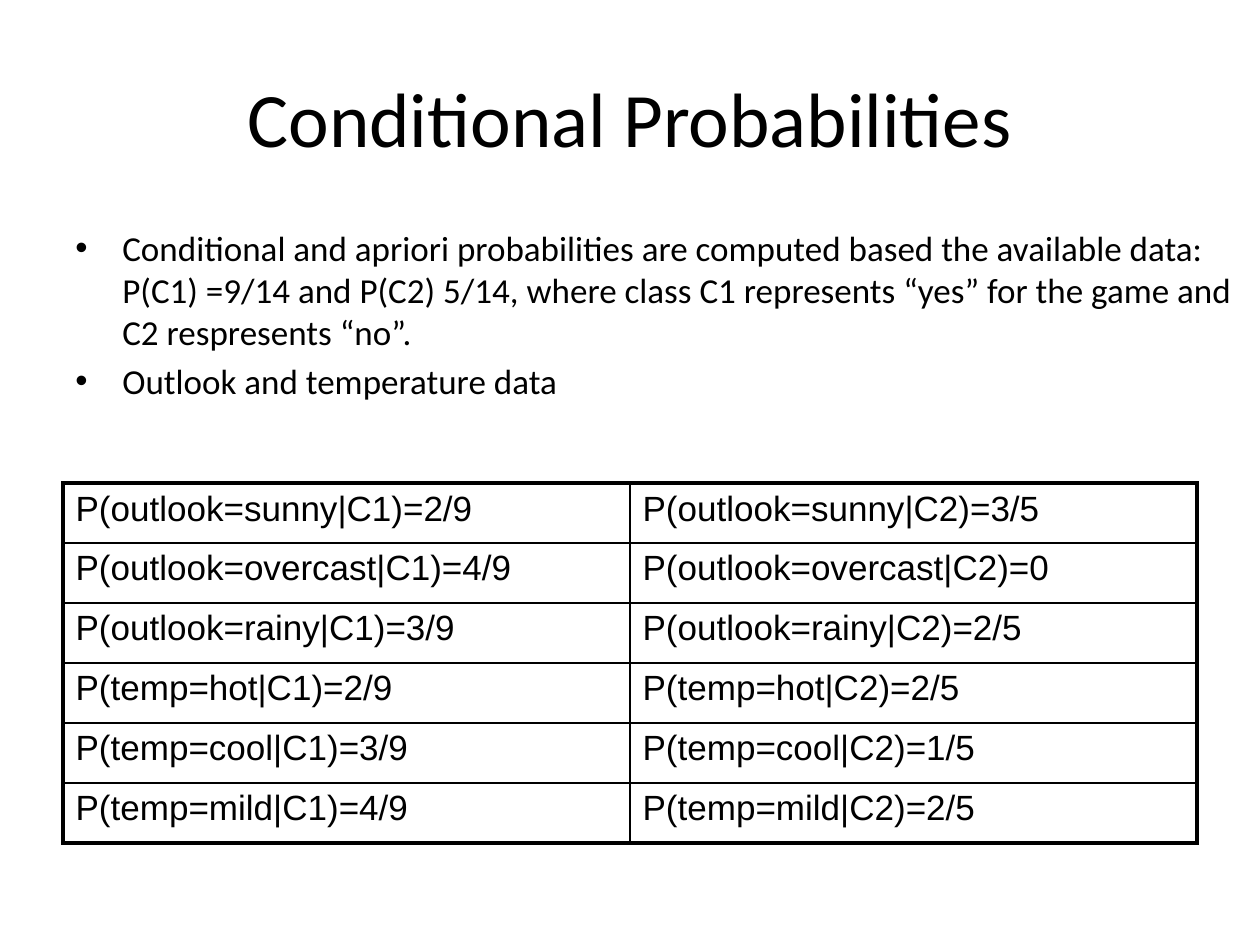
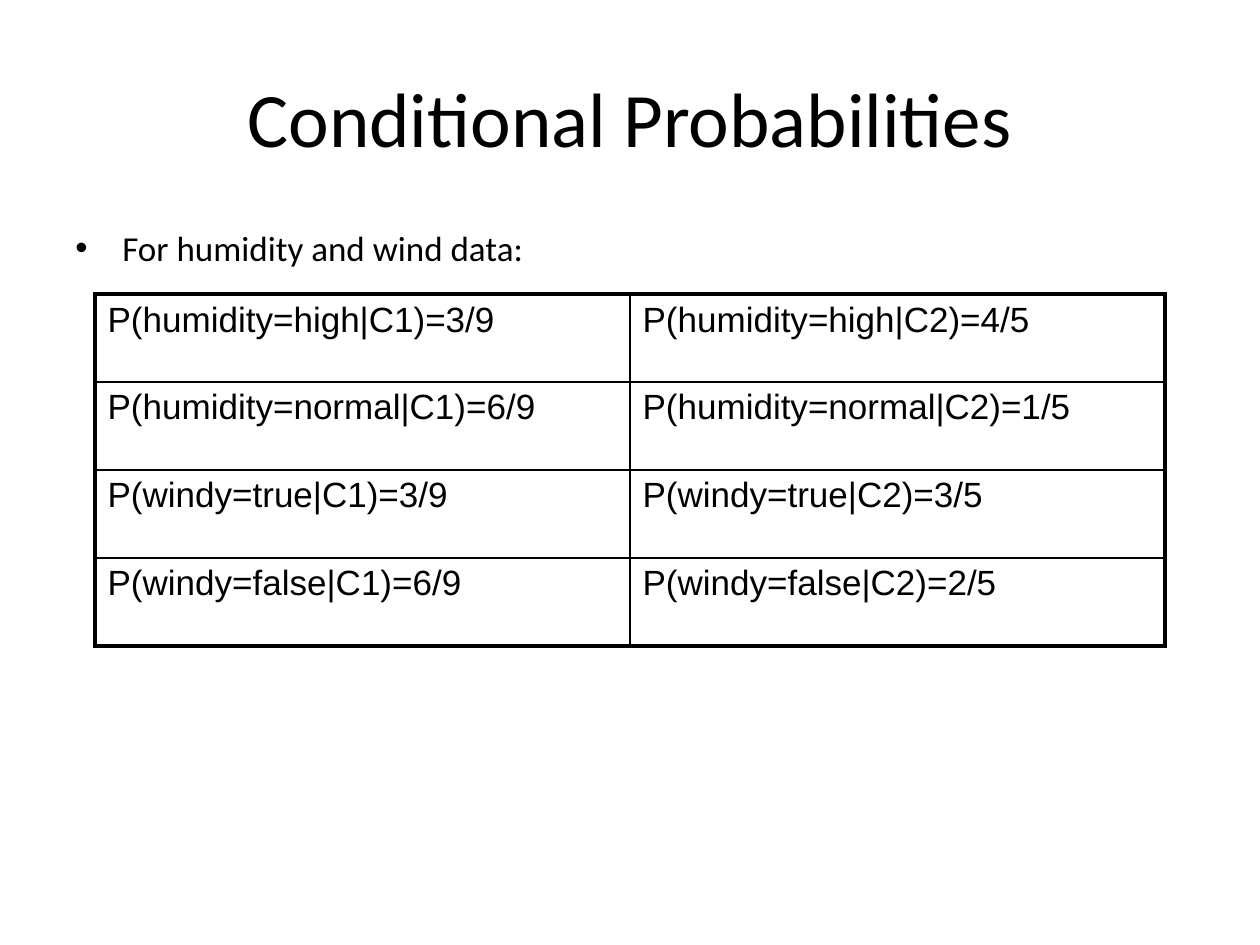
"""Build two slides of conditional probability tables."""
from dataclasses import dataclass

from lxml import etree
from pptx import Presentation
from pptx.dml.color import RGBColor
from pptx.enum.text import MSO_ANCHOR, PP_ALIGN
from pptx.oxml.ns import qn
from pptx.util import Emu, Pt

PIXELS_PER_INCH = 126
EMU_PER_PIXEL = 914400 / PIXELS_PER_INCH
EMU_PER_POINT = 12700
SLIDE_SIZE = (1260, 945)
BLANK_LAYOUT = 6

INK = "000000"
TITLE_FONT = {"name": "Calibri", "size": Pt(44)}
BODY_FONT = {"name": "Calibri", "size": Pt(20)}
CELL_FONT = {"name": "Arial", "size": Pt(20)}
CENTER = PP_ALIGN.CENTER
LEFT = PP_ALIGN.LEFT
MIDDLE = MSO_ANCHOR.MIDDLE
TOP = MSO_ANCHOR.TOP

TITLE = "Conditional Probabilities"
PARA_GAP = Pt(4)
BULLET_INDENT = 47
OUTER_LINE = 2.25
INNER_LINE = 1


@dataclass(frozen=True)
class Area:
    """A rectangle in pixels."""
    left: int
    top: int
    width: int
    height: int


@dataclass(frozen=True)
class ProbabilitySlide:
    """The bullets and the two-column table of one slide."""
    bullets: list[str]
    body: Area
    table: Area
    rows: list[tuple[str, str]]


TITLE_AREA = Area(63, 38, 1134, 157)

SLIDES = [
    ProbabilitySlide(
        bullets=[
            "Conditional and apriori probabilities are computed based the "
            "available data: P(C1) =9/14 and P(C2) 5/14, where class C1 "
            "represents “yes” for the game and C2 respresents “no”.",
            "Outlook and temperature data",
        ],
        body=Area(63, 220, 1197, 624),
        table=Area(63, 483, 1134, 360),
        rows=[
            ("P(outlook=sunny|C1)=2/9", "P(outlook=sunny|C2)=3/5"),
            ("P(outlook=overcast|C1)=4/9", "P(outlook=overcast|C2)=0"),
            ("P(outlook=rainy|C1)=3/9", "P(outlook=rainy|C2)=2/5"),
            ("P(temp=hot|C1)=2/9", "P(temp=hot|C2)=2/5"),
            ("P(temp=cool|C1)=3/9", "P(temp=cool|C2)=1/5"),
            ("P(temp=mild|C1)=4/9", "P(temp=mild|C2)=2/5"),
        ],
    ),
    ProbabilitySlide(
        bullets=["For humidity and wind data:"],
        body=Area(63, 220, 1155, 624),
        table=Area(95, 294, 1070, 352),
        rows=[
            ("P(humidity=high|C1)=3/9", "P(humidity=high|C2)=4/5"),
            ("P(humidity=normal|C1)=6/9", "P(humidity=normal|C2)=1/5"),
            ("P(windy=true|C1)=3/9", "P(windy=true|C2)=3/5"),
            ("P(windy=false|C1)=6/9", "P(windy=false|C2)=2/5"),
        ],
    ),
]


def px(pixels: float) -> Emu:
    """Turn pixels into EMU."""
    return Emu(round(pixels * EMU_PER_PIXEL))


def place(area: Area) -> tuple[Emu, Emu, Emu, Emu]:
    """Return left, top, width and height in EMU."""
    return px(area.left), px(area.top), px(area.width), px(area.height)


def color(value: str) -> RGBColor:
    """Turn a hex string into a colour."""
    return RGBColor.from_string(value)


def write(para, text: str, font: dict, **layout) -> None:
    """Put one formatted span into a paragraph and set its layout."""
    span = para.add_run()
    span.text = text
    span.font.color.rgb = color(INK)
    for target, values in ((span.font, font), (para, layout)):
        for name, value in values.items():
            setattr(target, name, value)


def add_bullet(para) -> None:
    """Give a paragraph a round bullet with a hanging indent."""
    properties = para._p.get_or_add_pPr()
    indent = px(BULLET_INDENT)
    for name, value in {"marL": indent, "indent": -indent}.items():
        properties.set(name, str(value))
    etree.SubElement(properties, qn("a:buFont"), typeface="Arial")
    etree.SubElement(properties, qn("a:buChar"), char="•")


def add_text_frame(page, area: Area, anchor):
    """Add a wrapping text box and return its text frame."""
    frame = page.shapes.add_textbox(*place(area)).text_frame
    frame.word_wrap = True
    frame.vertical_anchor = anchor
    return frame


def add_title(page) -> None:
    """Add the shared slide title."""
    frame = add_text_frame(page, TITLE_AREA, MIDDLE)
    write(frame.paragraphs[0], TITLE, TITLE_FONT, alignment=CENTER)


def add_bullets(page, area: Area, bullets: list[str]) -> None:
    """Add the bulleted body text."""
    frame = add_text_frame(page, area, TOP)
    for index, text in enumerate(bullets):
        para = frame.add_paragraph() if index else frame.paragraphs[0]
        write(para, text, BODY_FONT, alignment=LEFT, space_before=PARA_GAP)
        add_bullet(para)


def add_borders(cell, outer_sides: dict[str, bool]) -> None:
    """Draw the cell borders, thick on the sides at the table's edge."""
    properties = cell._tc.get_or_add_tcPr()
    for side, is_outer in outer_sides.items():
        width = OUTER_LINE if is_outer else INNER_LINE
        line = etree.SubElement(properties, qn(f"a:ln{side}"),
                                w=str(round(width * EMU_PER_POINT)))
        fill = etree.SubElement(line, qn("a:solidFill"))
        etree.SubElement(fill, qn("a:srgbClr"), val=INK)


def add_probability_table(page, area: Area,
                          rows: list[tuple[str, str]]) -> None:
    """Add a table with equal rows and columns and a thick frame."""
    row_count, column_count = len(rows), len(rows[0])
    table = page.shapes.add_table(row_count, column_count,
                                  *place(area)).table
    table.first_row = False
    table.horz_banding = False
    for column in table.columns:
        column.width = px(area.width / column_count)
    for row in table.rows:
        row.height = px(area.height / row_count)
    for row_index, texts in enumerate(rows):
        for column_index, text in enumerate(texts):
            cell = table.cell(row_index, column_index)
            write(cell.text_frame.paragraphs[0], text, CELL_FONT,
                  alignment=LEFT, space_before=PARA_GAP)
            add_borders(cell, {
                "L": column_index == 0,
                "R": column_index == column_count - 1,
                "T": row_index == 0,
                "B": row_index == row_count - 1,
            })
            cell.fill.background()


def main() -> None:
    """Build and save the deck."""
    deck = Presentation()
    deck.slide_width, deck.slide_height = map(px, SLIDE_SIZE)
    for content in SLIDES:
        page = deck.slides.add_slide(deck.slide_layouts[BLANK_LAYOUT])
        add_title(page)
        add_bullets(page, content.body, content.bullets)
        add_probability_table(page, content.table, content.rows)
    deck.save("out.pptx")


main()
